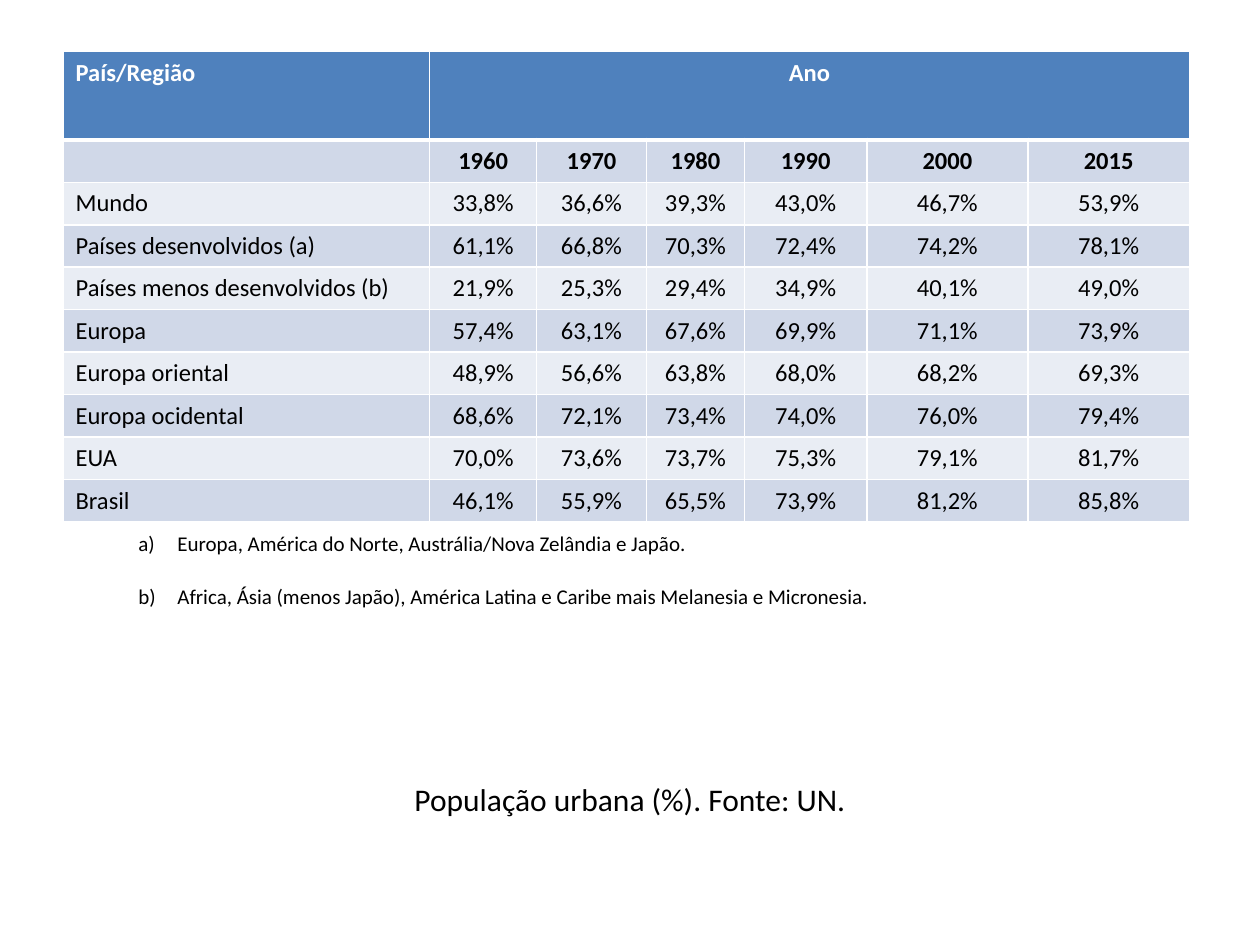
from lxml.etree import SubElement
from pptx import Presentation
from pptx.dml.color import RGBColor
from pptx.enum.text import PP_ALIGN as Align
from pptx.oxml.ns import qn
from pptx.util import Inches, Pt

WHITE = RGBColor(0xFF, 0xFF, 0xFF)
BLACK = RGBColor(0, 0, 0)
HEADER_BLUE = RGBColor(0x4F, 0x81, 0xBD)
BANDS = RGBColor(0xD0, 0xD8, 0xE8), RGBColor(0xE9, 0xED, 0xF4)

ROWS = [
    ("País/Região", "Ano", "", "", "", "", ""),
    ("", "1960", "1970", "1980", "1990", "2000", "2015"),
    ("Mundo", "33,8%", "36,6%", "39,3%", "43,0%", "46,7%", "53,9%"),
    ("Países desenvolvidos (a)", "61,1%", "66,8%", "70,3%", "72,4%", "74,2%", "78,1%"),
    ("Países menos desenvolvidos (b)", "21,9%", "25,3%", "29,4%", "34,9%", "40,1%", "49,0%"),
    ("Europa", "57,4%", "63,1%", "67,6%", "69,9%", "71,1%", "73,9%"),
    ("Europa oriental", "48,9%", "56,6%", "63,8%", "68,0%", "68,2%", "69,3%"),
    ("Europa ocidental", "68,6%", "72,1%", "73,4%", "74,0%", "76,0%", "79,4%"),
    ("EUA", "70,0%", "73,6%", "73,7%", "75,3%", "79,1%", "81,7%"),
    ("Brasil", "46,1%", "55,9%", "65,5%", "73,9%", "81,2%", "85,8%"),
]
COLUMN_WIDTHS = [2.91, 0.85, 0.87, 0.78, 0.97, 1.28, 1.28]
HEADER_HEIGHT, ROW_HEIGHT = 0.7, 0.33
NOTES = [
    "Europa, América do Norte, Austrália/Nova Zelândia e Japão.",
    "Africa, Ásia (menos Japão), América Latina e Caribe mais Melanesia e Micronesia.",
]
CAPTION = "População urbana (%). Fonte: UN."


def write(paragraph, text, size=14, color=BLACK, bold=False, align=Align.LEFT):
    paragraph.alignment = align
    run = paragraph.add_run()
    run.text = text
    run.font.name = "Calibri"
    run.font.size = Pt(size)
    run.font.bold = bold
    run.font.color.rgb = color


def add_text_frame(slide, left, top, width, height):
    box = slide.shapes.add_textbox(Inches(left), Inches(top), Inches(width), Inches(height))
    box.text_frame.word_wrap = True
    return box.text_frame


def set_borders(cell, **widths):
    """Draw white borders; widths are points by side: L, R, T, B."""
    properties = cell._tc.get_or_add_tcPr()
    for index, (side, width) in enumerate(widths.items()):
        line = properties.makeelement(qn(f"a:ln{side}"), {"w": str(Pt(width))})
        fill = SubElement(line, qn("a:solidFill"))
        SubElement(fill, qn("a:srgbClr"), val=str(WHITE))
        properties.insert(index, line)


def number_with_letters(paragraph):
    properties = paragraph._p.get_or_add_pPr()
    properties.set("marL", str(Inches(0.81)))
    properties.set("indent", str(Inches(-0.31)))
    SubElement(properties, qn("a:buFont"), typeface="+mj-lt")
    SubElement(properties, qn("a:buAutoNum"), type="alphaLcParenR")


def add_population_table(slide):
    height = HEADER_HEIGHT + ROW_HEIGHT * (len(ROWS) - 1)
    table = slide.shapes.add_table(
        len(ROWS), len(COLUMN_WIDTHS), Inches(0.5), Inches(0.41),
        Inches(sum(COLUMN_WIDTHS)), Inches(height)).table
    for column, width in zip(table.columns, COLUMN_WIDTHS):
        column.width = Inches(width)
    for r, values in enumerate(ROWS):
        header = r == 0
        table.rows[r].height = Inches(HEADER_HEIGHT if header else ROW_HEIGHT)
        for c, value in enumerate(values):
            cell = table.cell(r, c)
            cell.fill.solid()
            cell.fill.fore_color.rgb = HEADER_BLUE if header else BANDS[(r - 1) % 2]
            set_borders(cell, L=1, R=1, T=3 if r == 1 else 1, B=3 if header else 1)
            paragraph = cell.text_frame.paragraphs[0]
            if value:
                write(paragraph, value, color=WHITE if header else BLACK, bold=r < 2,
                      align=Align.CENTER if c else Align.LEFT)
            else:
                paragraph.font.size = Pt(14)
    table.cell(0, 1).merge(table.cell(0, len(COLUMN_WIDTHS) - 1))


def add_notes(slide):
    frame = add_text_frame(slide, 0.5, 4.16, 8.49, 2.54)
    for index, note in enumerate(NOTES):
        paragraph = frame.add_paragraph() if index else frame.paragraphs[0]
        paragraph.level = 1
        paragraph.space_before = Pt(16 if index else 0)
        number_with_letters(paragraph)
        write(paragraph, note, size=12)


def main():
    presentation = Presentation()
    presentation.slide_width, presentation.slide_height = Inches(10), Inches(7.5)
    slide = presentation.slides.add_slide(presentation.slide_layouts[6])
    add_population_table(slide)
    caption = add_text_frame(slide, 0.5, 6.14, 9, 0.56)
    write(caption.paragraphs[0], CAPTION, size=18, align=Align.CENTER)
    add_notes(slide)
    presentation.save("out.pptx")


if __name__ == "__main__":
    main()
